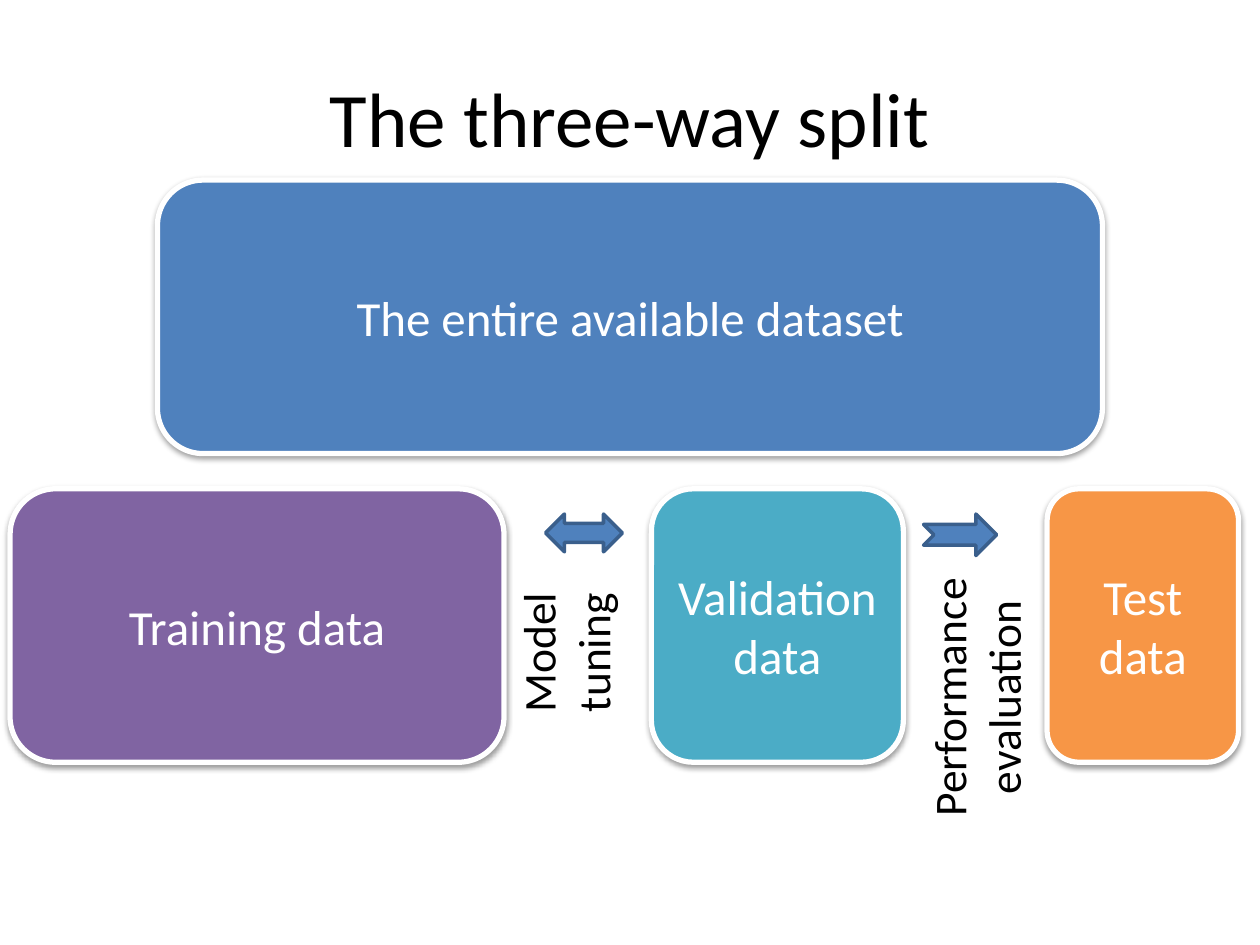
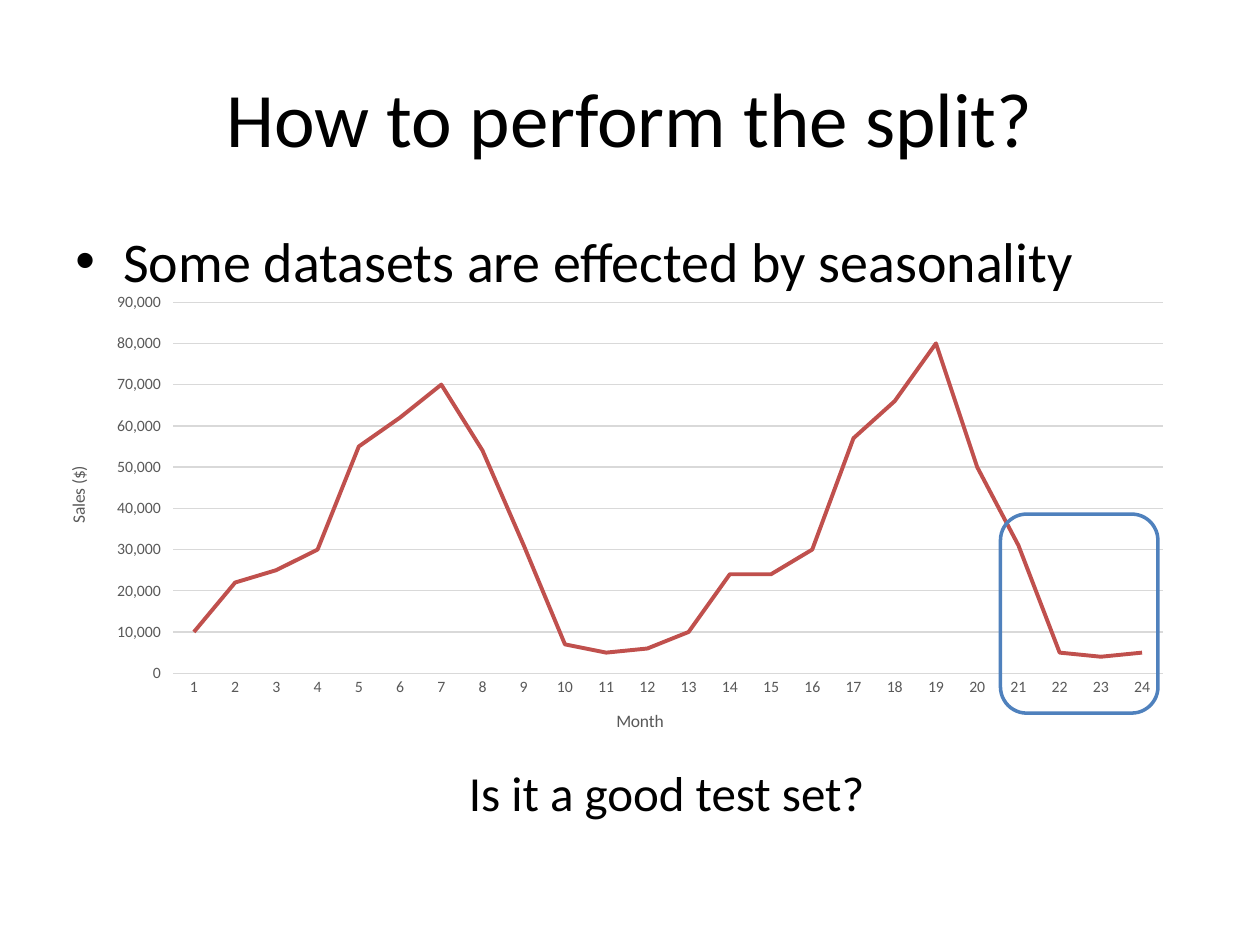
from lxml.etree import SubElement
from pptx import Presentation
from pptx.chart.data import CategoryChartData
from pptx.dml.color import RGBColor
from pptx.enum.chart import XL_CHART_TYPE, XL_TICK_MARK
from pptx.enum.shapes import MSO_SHAPE
from pptx.enum.text import MSO_ANCHOR, PP_ALIGN
from pptx.oxml.ns import qn
from pptx.util import Inches, Pt

FONT = "Calibri"
BLACK, WHITE, BLUE = "000000", "FFFFFF", "4F81BD"
DARK_BLUE, PURPLE, TEAL, ORANGE = "3A5F8C", "8064A2", "4BACC6", "F79646"
RED, GRID_GRAY, LABEL_GRAY = "C0504D", "D9D9D9", "595959"

BLOCK_HEIGHT = 2.17
SPLIT_TOP = 3.88
MONTHLY_SALES = [
    10000, 22000, 25000, 30000, 55000, 62000, 70000, 54000, 31000, 7000, 5000, 6000,
    10000, 24000, 24000, 30000, 57000, 66000, 80000, 50000, 31000, 5000, 4000, 5000,
]


def color(value):
    return RGBColor.from_string(value)


def place(left, top, width, height):
    return [Inches(length) for length in (left, top, width, height)]


def set_font(font, size, value):
    font.name = FONT
    font.size = Pt(size)
    font.bold = False
    font.color.rgb = color(value)


def write(shape, text, size=28, ink=BLACK, align=PP_ALIGN.CENTER,
          anchor=MSO_ANCHOR.TOP, vertical=None):
    """Put one formatted paragraph into a shape and return the paragraph."""
    frame = shape.text_frame
    frame.word_wrap = True
    frame.vertical_anchor = anchor
    if vertical:
        frame._txBody.bodyPr.set("vert", vertical)
    para = frame.paragraphs[0]
    para.alignment = align
    span = para.add_run()
    span.text = text
    set_font(span.font, size, ink)
    return para


def add_text(page, text, area, **style):
    return write(page.shapes.add_textbox(*place(*area)), text, **style)


def add_page(deck, title):
    page = deck.slides.add_slide(deck.slide_layouts[6])
    add_text(page, title, (0.5, 0.3, 9, 1.25), size=44, anchor=MSO_ANCHOR.MIDDLE)
    return page


def add_preset(page, preset, area, fill, line, line_width=2):
    shape = page.shapes.add_shape(preset, *place(*area))
    if fill:
        shape.fill.solid()
        shape.fill.fore_color.rgb = color(fill)
    else:
        shape.fill.background()
    shape.line.color.rgb = color(line)
    shape.line.width = Pt(line_width)
    shape.shadow.inherit = False
    return shape


def add_soft_shadow(shape):
    effects = shape._element.spPr.find(qn("a:effectLst"))
    shadow = SubElement(effects, qn("a:outerShdw"), blurRad="40000", dist="20000",
                        dir="5400000", rotWithShape="0")
    tint = SubElement(shadow, qn("a:srgbClr"), val=BLACK)
    SubElement(tint, qn("a:alpha"), val="38000")


def add_data_block(page, text, left, top, width, fill):
    block = add_preset(page, MSO_SHAPE.ROUNDED_RECTANGLE,
                       (left, top, width, BLOCK_HEIGHT), fill, WHITE, 3)
    add_soft_shadow(block)
    write(block, text, ink=WHITE, anchor=MSO_ANCHOR.MIDDLE)


def add_bullet(page, text, area):
    para = add_text(page, text, area, size=32, align=PP_ALIGN.LEFT)
    para.space_before = Pt(6.4)
    properties = para._p.get_or_add_pPr()
    properties.set("marL", str(Inches(0.38)))
    properties.set("indent", str(Inches(-0.38)))
    SubElement(properties, qn("a:buFont"), typeface="Arial")
    SubElement(properties, qn("a:buChar"), char="•")


def style_axis(axis, title, tick_mark):
    axis.major_tick_mark = tick_mark
    axis.minor_tick_mark = XL_TICK_MARK.NONE
    set_font(axis.tick_labels.font, 9, LABEL_GRAY)
    axis.has_title = True
    span = axis.axis_title.text_frame.paragraphs[0].add_run()
    span.text = title
    set_font(span.font, 10, LABEL_GRAY)


def style_rule(rule):
    rule.color.rgb = color(GRID_GRAY)
    rule.width = Pt(0.75)


def add_sales_chart(page, area):
    data = CategoryChartData(number_format="#,##0")
    data.categories = [str(month) for month in range(1, len(MONTHLY_SALES) + 1)]
    data.add_series("Series 1", MONTHLY_SALES)
    chart = page.shapes.add_chart(XL_CHART_TYPE.LINE, *place(*area), data).chart
    set_font(chart.font, 10, BLACK)
    chart.has_legend = False
    chart.has_title = False
    chart.plots[0].vary_by_categories = False

    sales = chart.plots[0].series[0]
    sales.smooth = False
    sales.format.line.color.rgb = color(RED)
    sales.format.line.width = Pt(2.25)

    months, values = chart.category_axis, chart.value_axis
    style_axis(months, "Month", XL_TICK_MARK.NONE)
    style_rule(months.format.line)
    style_axis(values, "Sales ($)", XL_TICK_MARK.CROSS)
    values.axis_title.text_frame._txBody.bodyPr.set("rot", "-5400000")
    values.format.line.fill.background()
    values.minimum_scale, values.maximum_scale, values.major_unit = 0, 90000, 10000
    values.tick_labels.number_format = "#,##0"
    values.tick_labels.number_format_is_linked = False
    style_rule(values.major_gridlines.format.line)


def build_split_page(deck):
    page = add_page(deck, "The three-way split")

    # Whole dataset above its three parts
    add_data_block(page, "The entire available dataset", 1.25, 1.43, 7.5, BLUE)
    for text, left, width, fill in (
        ("Training data", 0.08, 3.92, PURPLE),
        ("Validation data", 5.17, 2, TEAL),
        ("Test data", 8.31, 1.52, ORANGE),
    ):
        add_data_block(page, text, left, SPLIT_TOP, width, fill)

    # Steps between the parts
    for preset, arrow_area, text, text_area in (
        (MSO_SHAPE.LEFT_RIGHT_ARROW, (4.33, 4.08, 0.61, 0.3),
         "Model tuning", (4, 4.25, 1.08, 1.86)),
        (MSO_SHAPE.NOTCHED_RIGHT_ARROW, (7.33, 4.08, 0.58, 0.33),
         "Performance evaluation", (7.26, 4.25, 1.08, 2.57)),
    ):
        add_preset(page, preset, arrow_area, BLUE, DARK_BLUE)
        add_text(page, text, text_area, size=26, vertical="vert270")


def build_seasonality_page(deck):
    page = add_page(deck, "How to perform the split?")
    add_bullet(page, "Some datasets are effected by seasonality", (0.5, 1.75, 9, 4.95))
    add_sales_chart(page, (0.33, 2.25, 9.08, 3.76))

    # Frame around the last four months
    add_preset(page, MSO_SHAPE.ROUNDED_RECTANGLE, (7.94, 4.08, 1.25, 1.58), None, BLUE)
    add_text(page, "Is it a good test set?", (2.83, 6, 4.92, 0.57))


def main():
    deck = Presentation()
    deck.slide_width, deck.slide_height = Inches(10), Inches(7.5)
    build_split_page(deck)
    build_seasonality_page(deck)
    deck.save("out.pptx")


if __name__ == "__main__":
    main()
